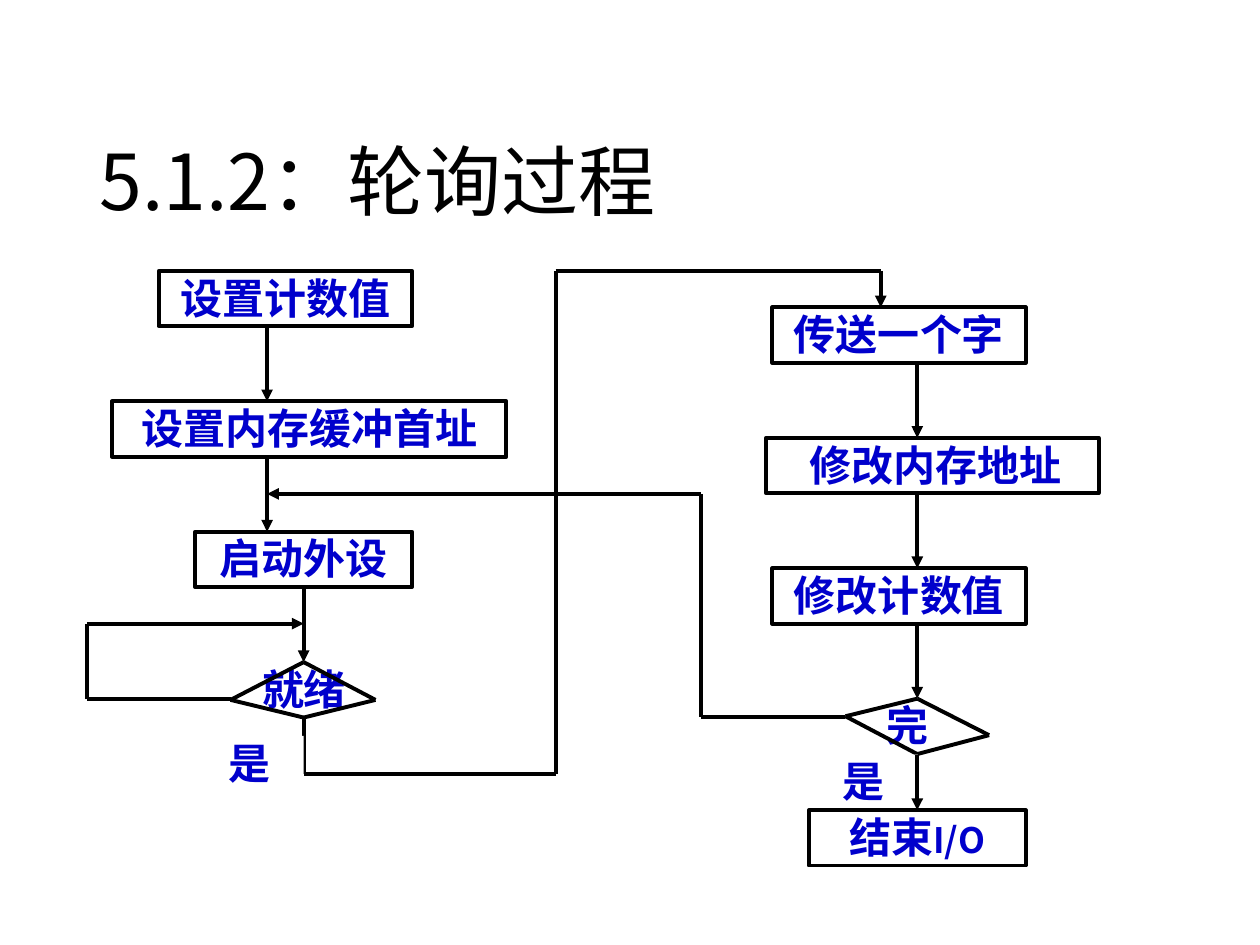
import itertools

import pptx
import pptx.dml.color
import pptx.enum.shapes
import pptx.enum.text
import pptx.oxml
import pptx.oxml.ns
import pptx.util
from pptx.util import Inches

COLORS = {"line": "000000", "fill": "FFFFFF", "label": "0000CC", "title": "000000"}
LABEL = {"name": "Arial", "size": pptx.util.Pt(24), "bold": True}
LATIN = {"name": "Noto Sans CJK JP", "size": pptx.util.Pt(20), "bold": True}
TITLE = {"name": "Noto Sans CJK SC", "size": pptx.util.Pt(44), "bold": False}
LINE_WIDTH = pptx.util.Pt(2.25)
PITCH = 1.035  # from one step to the next
STEP_HEIGHT = 0.44
ALIGN = pptx.enum.text.PP_ALIGN


def color(name):
    return pptx.dml.color.RGBColor.from_string(COLORS[name])


def add_span(para, text, style, color_name):
    span = para.add_run()
    span.text = text
    for key, value in style.items():
        setattr(span.font, key, value)
    span.font.color.rgb = color(color_name)
    east_asian = pptx.oxml.parse_xml(
        '<a:ea %s typeface="%s"/>' % (pptx.oxml.ns.nsdecls("a"), style["name"]))
    span.font._element.find(pptx.oxml.ns.qn("a:latin")).addnext(east_asian)


def add_box(page, left, top, width, spans, height=STEP_HEIGHT,
            outlined=True, align=ALIGN.CENTER, indent=0):
    box = page.shapes.add_shape(pptx.enum.shapes.MSO_SHAPE.RECTANGLE, Inches(left),
                                Inches(top), Inches(width), Inches(height))
    box.shadow.inherit = False
    box.fill.solid()
    box.fill.fore_color.rgb = color("fill")
    if outlined:
        box.line.color.rgb = color("line")
        box.line.width = LINE_WIDTH
    else:
        box.line.fill.background()
    frame = box.text_frame
    settings = {"margin_left": Inches(indent), "margin_right": 0,
                "margin_top": Inches(0.01), "margin_bottom": Inches(0.01),
                "word_wrap": True,
                "vertical_anchor": pptx.enum.text.MSO_ANCHOR.TOP}
    for key, value in settings.items():
        setattr(frame, key, value)
    para = frame.paragraphs[0]
    para.alignment = align
    for text, style in spans:
        add_span(para, text, style, "label")


def add_route(page, left, top, points, arrow=True):
    """Join the points with straight lines; the last may carry an arrowhead."""
    pairs = list(itertools.pairwise(points))
    for number, ((x1, y1), (x2, y2)) in enumerate(pairs, 1):
        line = page.shapes.add_connector(
            pptx.enum.shapes.MSO_CONNECTOR.STRAIGHT, Inches(left + x1),
            Inches(top + y1), Inches(left + x2), Inches(top + y2))
        line.line.color.rgb = color("line")
        line.line.width = LINE_WIDTH
        if arrow and number == len(pairs):
            line.line._get_or_add_ln().append(pptx.oxml.parse_xml(
                '<a:tailEnd %s type="triangle"/>' % pptx.oxml.ns.nsdecls("a")))
        line._element.spPr.append(pptx.oxml.parse_xml(
            "<a:effectLst %s/>" % pptx.oxml.ns.nsdecls("a")))


def draw_title(page, left, top, width, height):
    title = page.shapes.title
    place = {"left": left, "top": top, "width": width, "height": height}
    for key, value in place.items():
        setattr(title, key, Inches(value))
    frame = title.text_frame
    frame.vertical_anchor = pptx.enum.text.MSO_ANCHOR.BOTTOM
    frame.auto_size = pptx.enum.text.MSO_AUTO_SIZE.NONE
    para = frame.paragraphs[0]
    para.alignment = ALIGN.LEFT
    para.line_spacing = 0.9
    add_span(para, "5.1.2：轮询过程", TITLE, "title")


def draw_steps(page, left, top, steps):
    """Stack the boxes, each with an arrow down to the next step."""
    for number, (x, width, axis, text, indent) in enumerate(steps):
        y = number * PITCH
        add_box(page, left + x, top + y, width, [(text, LABEL)], indent=indent)
        add_route(page, left, top, [(axis, y + STEP_HEIGHT), (axis, y + PITCH)])


def draw_decision(page, left, top, text, patch, corners, indent):
    """Draw a diamond whose top corner is at left, top."""
    x, width, height = patch
    add_box(page, left + x, top, width, [(text, LABEL)], height=height,
            outlined=False, align=ALIGN.LEFT, indent=indent)
    add_route(page, left, top, corners + corners[:1], arrow=False)


def draw_setup_flow(page, left, top):
    draw_decision(page, left + 1.72, top + 3 * PITCH, "就绪", (-0.39, 1.07, 0.48),
                  [(0, 0), (0.57, 0.3), (0, 0.44), (-0.58, 0.3)], 0.06)
    draw_steps(page, left, top, [(0.57, 2.01, 1.43, "设置计数值", 0),
                                 (0.2, 3.13, 1.43, "设置内存缓冲首址", 0),
                                 (0.86, 1.72, 1.72, "启动外设", 0)])
    # Wait until ready
    add_route(page, left, top, [(1.14, 3.4), (0, 3.4), (0, 2.8), (1.72, 2.8)])


def draw_transfer_flow(page, left, top):
    draw_decision(page, left + 1.2, top + 3 * PITCH, "完", (-0.37, 1.24, 0.4),
                  [(0, 0), (0.57, 0.29), (0, 0.44), (-0.57, 0.14)], 0.13)
    draw_steps(page, left, top, [(0.05, 2.01, 1.2, "传送一个字", 0),
                                 (0, 2.64, 1.2, "修改内存地址", 0.05),
                                 (0.05, 2.01, 1.2, "修改计数值", 0)])
    # Finish
    add_box(page, left + 0.34, top + 3.55, 0.86, [("是", LABEL)], outlined=False)
    add_route(page, left, top, [(1.2, 3.55), (1.2, 3.99)])
    add_box(page, left + 0.34, top + 3.99, 1.72, [("结束", LABEL), ("I/O", LATIN)])


def draw_links(page, left, top):
    # Ready: on to the transfer
    add_route(page, left, top, [(1.72, 3.54), (1.72, 3.99), (3.72, 3.99),
                                (3.72, 0), (6.3, 0), (6.3, 0.29)])
    add_box(page, left + 0.86, top + 3.69, 0.86, [("是", LABEL)], outlined=False)
    # Not finished: back to starting the device
    add_route(page, left, top, [(6.02, 3.54), (4.87, 3.54), (4.87, 1.77), (1.43, 1.77)])


def main():
    deck = pptx.Presentation()
    deck.slide_width, deck.slide_height = Inches(10), Inches(7.5)
    page = deck.slides.add_slide(deck.slide_layouts.get_by_name("Title Only"))
    draw_title(page, 0.69, 0.4, 8.62, 1.45)
    draw_setup_flow(page, 0.69, 2.15)
    draw_transfer_flow(page, 6.08, 2.44)
    draw_links(page, 0.69, 2.15)
    deck.save("out.pptx")


if __name__ == "__main__":
    main()
